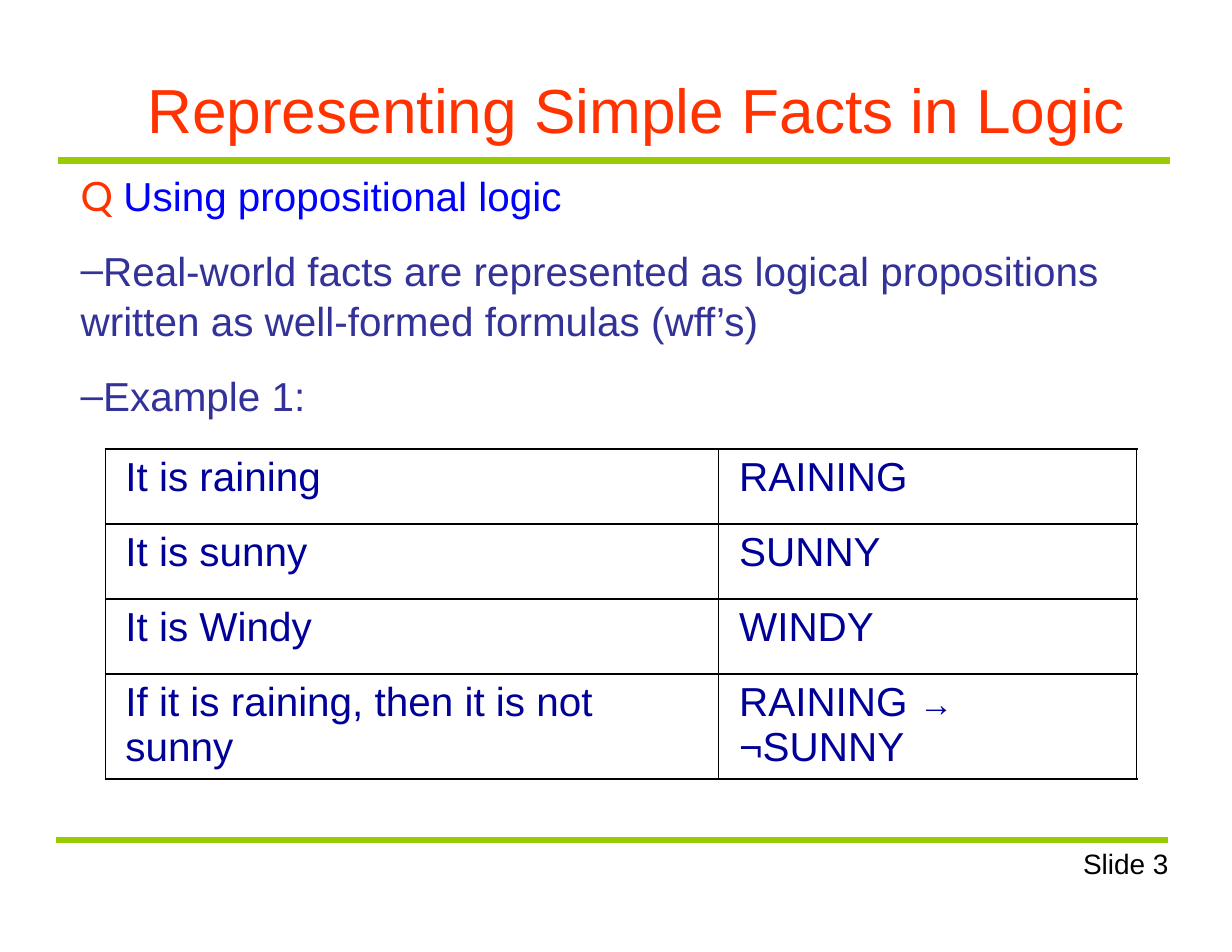
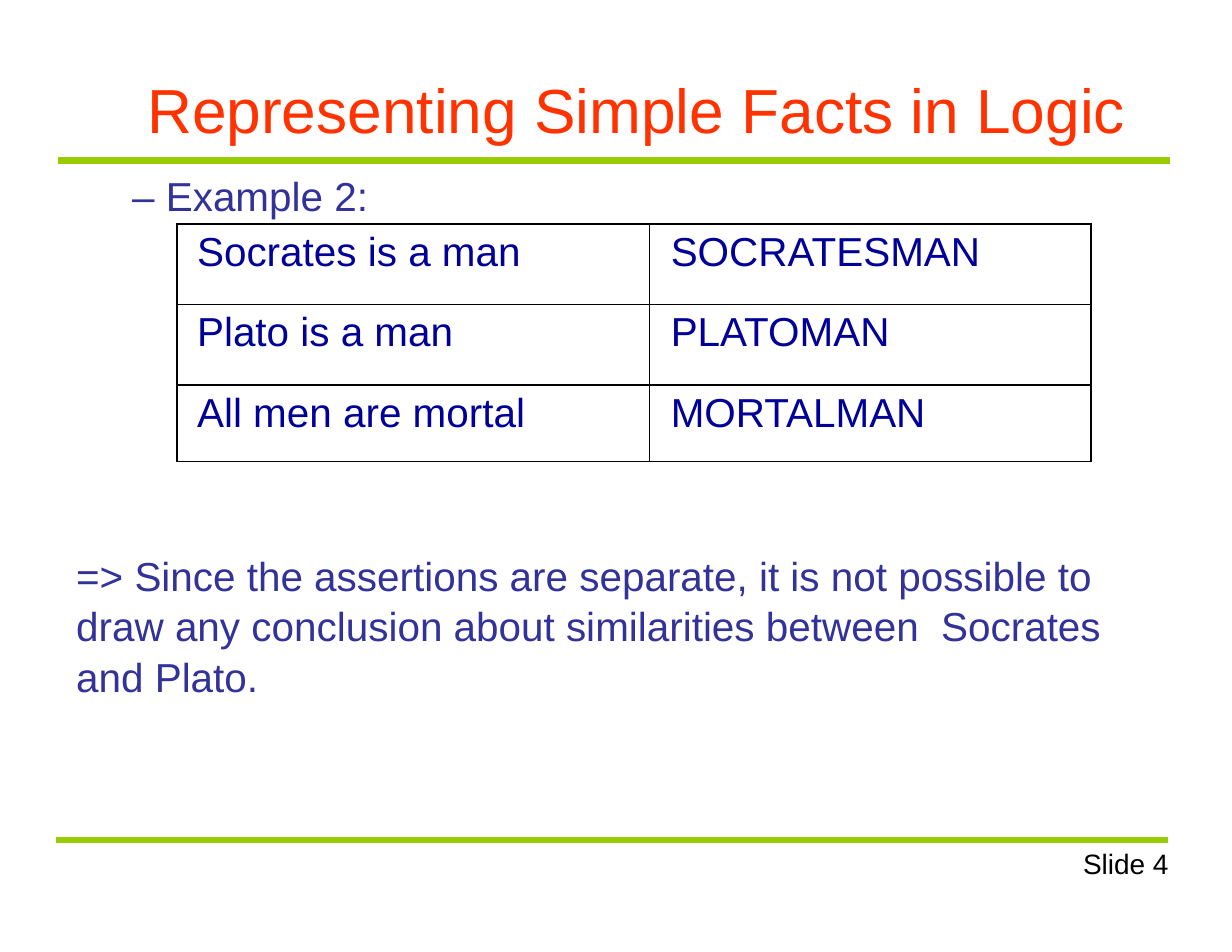
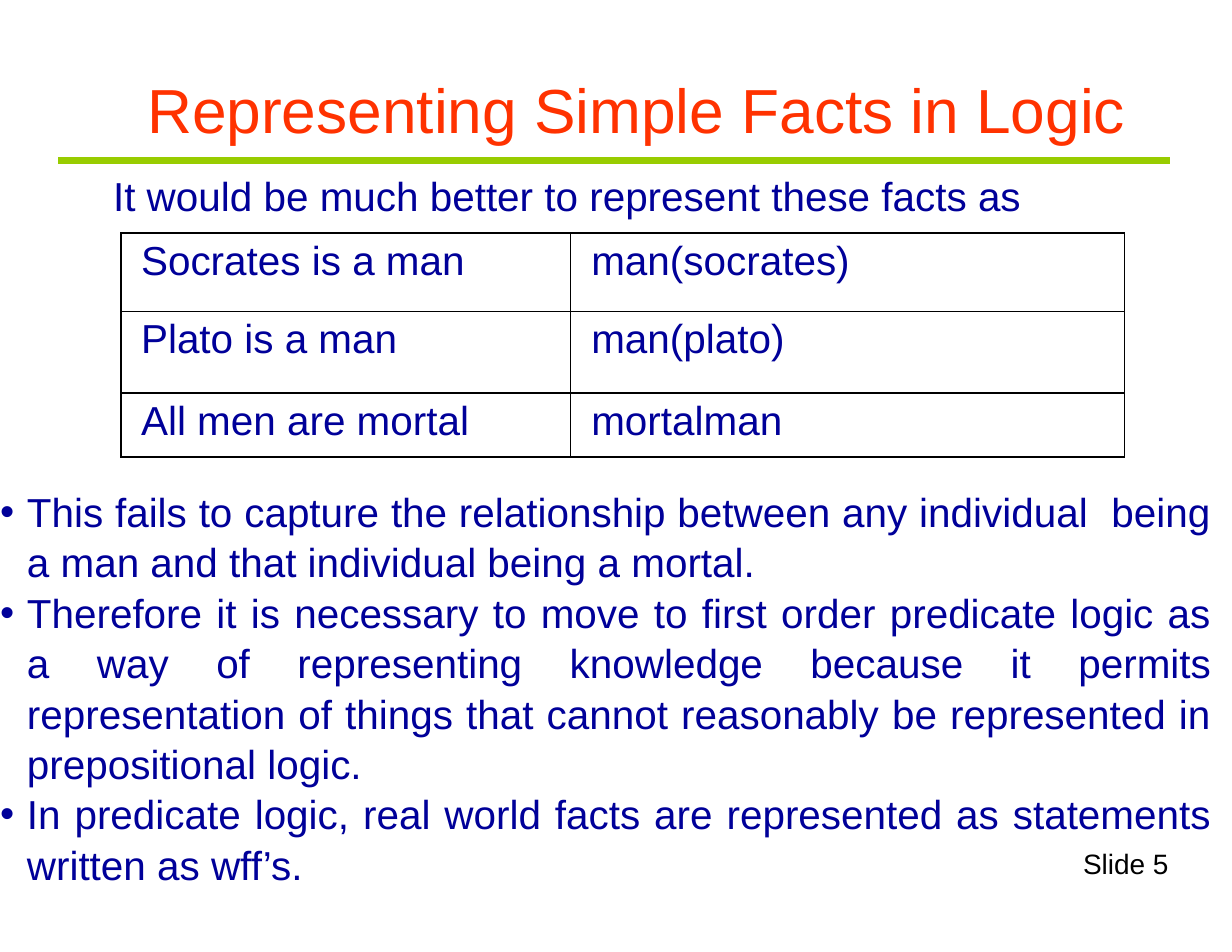
from lxml.etree import SubElement
from pptx import Presentation
from pptx.dml.color import RGBColor
from pptx.enum.shapes import MSO_CONNECTOR
from pptx.enum.text import MSO_ANCHOR, MSO_AUTO_SIZE, PP_ALIGN
from pptx.oxml.ns import qn
from pptx.util import Inches, Pt

RED = RGBColor(0xFF, 0x32, 0x00)
GREEN = RGBColor(0x98, 0xCC, 0x00)
BLUE = RGBColor(0x00, 0x00, 0xFF)
INDIGO = RGBColor(0x32, 0x32, 0x99)
NAVY = RGBColor(0x00, 0x00, 0x99)
BLACK = RGBColor(0x00, 0x00, 0x00)
WHITE = RGBColor(0xFF, 0xFF, 0xFF)

FONT = "Arial"
TEXT_SIZE = 26
LINE_SPACING = 1.04
TITLE = "Representing Simple Facts in Logic"
FIRST_NUMBER = 3


def place(shape, left, top, width, height):
    shape.left, shape.top = Inches(left), Inches(top)
    shape.width, shape.height = Inches(width), Inches(height)


def prepare_frame(shape, anchor=MSO_ANCHOR.TOP):
    frame = shape.text_frame
    frame.word_wrap = True
    frame.auto_size = MSO_AUTO_SIZE.NONE
    frame.vertical_anchor = anchor
    frame.margin_left = frame.margin_right = 0
    frame.margin_top = frame.margin_bottom = 0
    return frame


def style_span(span, color, size=TEXT_SIZE, font=FONT):
    span.font.name = font
    span.font.size = Pt(size)
    span.font.color.rgb = color


def add_span(para, text, color, size=TEXT_SIZE, font=FONT):
    span = para.add_run()
    span.text = text
    style_span(span, color, size, font)


def set_layout(para, margin=0.0, indent=0.0, before=0, bullet=None, color=None):
    """Set indents and spacing, and a coloured bullet or none."""
    para.line_spacing = LINE_SPACING
    para.space_before = Pt(before)
    properties = para._p.get_or_add_pPr()
    properties.set("marL", str(Inches(margin)))
    properties.set("indent", str(Inches(indent)))
    if bullet:
        bullet_color = SubElement(properties, qn("a:buClr"))
        SubElement(bullet_color, qn("a:srgbClr")).set("val", str(color))
        SubElement(properties, qn("a:buChar")).set("char", bullet)
    else:
        SubElement(properties, qn("a:buNone"))


def write_paragraphs(frame, texts, color, align=PP_ALIGN.LEFT, **layout):
    frame.text = "\n".join(texts)
    for para in frame.paragraphs:
        set_layout(para, color=color, **layout)
        para.alignment = align
        for span in para.runs:
            style_span(span, color)


def add_text_box(page, left, top, width, height):
    box = page.shapes.add_textbox(0, 0, 0, 0)
    place(box, left, top, width, height)
    return prepare_frame(box)


def add_rule(page, left, top, width=9.93):
    rule = page.shapes.add_connector(
        MSO_CONNECTOR.STRAIGHT, Inches(left), Inches(top), Inches(left + width), Inches(top))
    rule.line.color.rgb = GREEN
    rule.line.width = Pt(4.45)
    SubElement(rule._element.spPr, qn("a:effectLst"))


def add_page(deck, footer_rule=True):
    """Add a page with the shared title, rules and slide number."""
    page = deck.slides.add_slide(deck.slide_layouts[1])
    add_rule(page, 0.52, 1.43)
    if footer_rule:
        add_rule(page, 0.5, 7.5)

    title = page.shapes.title
    place(title, 0.78, 0.6, 9.45, 0.7)
    frame = prepare_frame(title, MSO_ANCHOR.BOTTOM)
    para = frame.paragraphs[0]
    set_layout(para, margin=0.35)
    para.alignment = PP_ALIGN.CENTER
    add_span(para, TITLE, RED, 40)
    return page


def add_slide_number(page, number):
    para = add_text_box(page, 9.67, 7.6, 0.9, 0.26).paragraphs[0]
    add_span(para, f"Slide {number}", BLACK, 18)
    para.line_spacing = Pt(18.5)


def get_body(page, left, top, width, height):
    body = page.placeholders[1]
    place(body, left, top, width, height)
    return body, prepare_frame(body)


def set_borders(cell, column, last_column):
    """Draw black borders, thinner between columns."""
    outer, inner = 1.1, 0.45
    widths = {
        "a:lnL": inner if column else outer,
        "a:lnR": outer if column == last_column else inner,
        "a:lnT": outer,
        "a:lnB": outer,
    }
    properties = cell._tc.get_or_add_tcPr()
    for tag, width in widths.items():
        line = SubElement(properties, qn(tag))
        line.set("w", str(Pt(width)))
        fill = SubElement(line, qn("a:solidFill"))
        SubElement(fill, qn("a:srgbClr")).set("val", str(BLACK))


def add_fact_table(page, left, top, column_widths, row_heights, facts):
    """Add a table of facts; a cell is a list of (text, size) spans or one text."""
    holder = page.shapes.add_table(
        len(facts), len(column_widths), Inches(left), Inches(top),
        Inches(sum(column_widths)), Inches(sum(row_heights)))
    table = holder.table
    table.first_row = table.horz_banding = False
    for column, width in zip(table.columns, column_widths):
        column.width = Inches(width)
    for row, height in zip(table.rows, row_heights):
        row.height = Inches(height)
    for row_index, fact in enumerate(facts):
        for column_index, content in enumerate(fact):
            cell = table.cell(row_index, column_index)
            cell.margin_left = Inches(0.18 + 0.01 * column_index)
            cell.margin_bottom = Inches(0.08)
            set_borders(cell, column_index, len(fact) - 1)
            cell.fill.background()
            spans = [(content, TEXT_SIZE)] if isinstance(content, str) else content
            for text, size in spans:
                add_span(cell.text_frame.paragraphs[0], text, NAVY, size)


def build_propositions(deck):
    page = add_page(deck)
    frame = get_body(page, 0.71, 1.51, 9.7, 2.17)[1]
    heading = frame.paragraphs[0]
    set_layout(heading, margin=0.01)
    add_span(heading, "Q ", RED, font="Lato")
    add_span(heading, "Using propositional logic", BLUE)
    for text in (
        "Real-world facts are represented as logical propositions written as "
        "well-formed formulas (wff’s)",
        "Example 1:",
    ):
        para = frame.add_paragraph()
        set_layout(para, margin=0.01, before=15.6, bullet="–", color=INDIGO)
        add_span(para, text, INDIGO)
    add_fact_table(page, 0.94, 4.01, (5.47, 3.74), (0.67, 0.67, 0.67, 0.73), [
        ("It is raining", "RAINING"),
        ("It is sunny", "SUNNY"),
        ("It is Windy", "WINDY"),
        ("If it is raining, then it is not sunny",
         [("RAINING ", TEXT_SIZE), ("→ ", 22), ("¬SUNNY", TEXT_SIZE)]),
    ])
    return page


def build_separate_assertions(deck):
    page = add_page(deck)
    lead = add_text_box(page, 1.17, 1.51, 2.4, 0.43)
    write_paragraphs(lead, ["– Example 2:"], INDIGO, margin=0.01)
    add_fact_table(page, 1.58, 2, (4.22, 3.94), (0.72, 0.72, 0.68), [
        ("Socrates is a man", "SOCRATESMAN"),
        ("Plato is a man", "PLATOMAN"),
        ("All men are mortal", "MORTALMAN"),
    ])
    conclusion = get_body(page, 0.67, 4.9, 9.83, 1.95)[1]
    write_paragraphs(conclusion, [
        "=> Since the assertions are separate, it is not possible to draw any "
        "conclusion about similarities between  Socrates and Plato.",
    ], INDIGO, margin=0.01)
    return page


def build_predicates(deck):
    page = add_page(deck, footer_rule=False)
    lead = add_text_box(page, 0.71, 1.51, 9.79, 0.43)
    write_paragraphs(lead, ["It would be much better to represent these facts as"],
                     NAVY, margin=0.3)
    body, frame = get_body(page, 0, 4.33, 10.83, 3.75)
    body.fill.solid()
    body.fill.fore_color.rgb = WHITE
    write_paragraphs(frame, [
        "This fails to capture the relationship between any individual  being a man "
        "and that individual being a mortal.",
        "Therefore it is necessary to move to first order predicate logic as a way of "
        "representing knowledge because it permits representation of things that "
        "cannot reasonably be represented in prepositional logic.",
        "In predicate logic, real world facts are represented as statements written "
        "as wff’s.",
    ], NAVY, PP_ALIGN.JUSTIFY, margin=0.24, indent=-0.24, bullet="•")
    add_fact_table(page, 1.08, 2.08, (4.01, 4.95), (0.7, 0.73, 0.57), [
        ("Socrates is a man", "man(socrates)"),
        ("Plato is a man", "man(plato)"),
        ("All men are mortal", "mortalman"),
    ])
    return page


def main():
    deck = Presentation()
    deck.slide_width, deck.slide_height = Inches(11), Inches(8.5)
    builders = (build_propositions, build_separate_assertions, build_predicates)
    for number, build in enumerate(builders, FIRST_NUMBER):
        add_slide_number(build(deck), number)
    deck.save("out.pptx")


if __name__ == "__main__":
    main()
